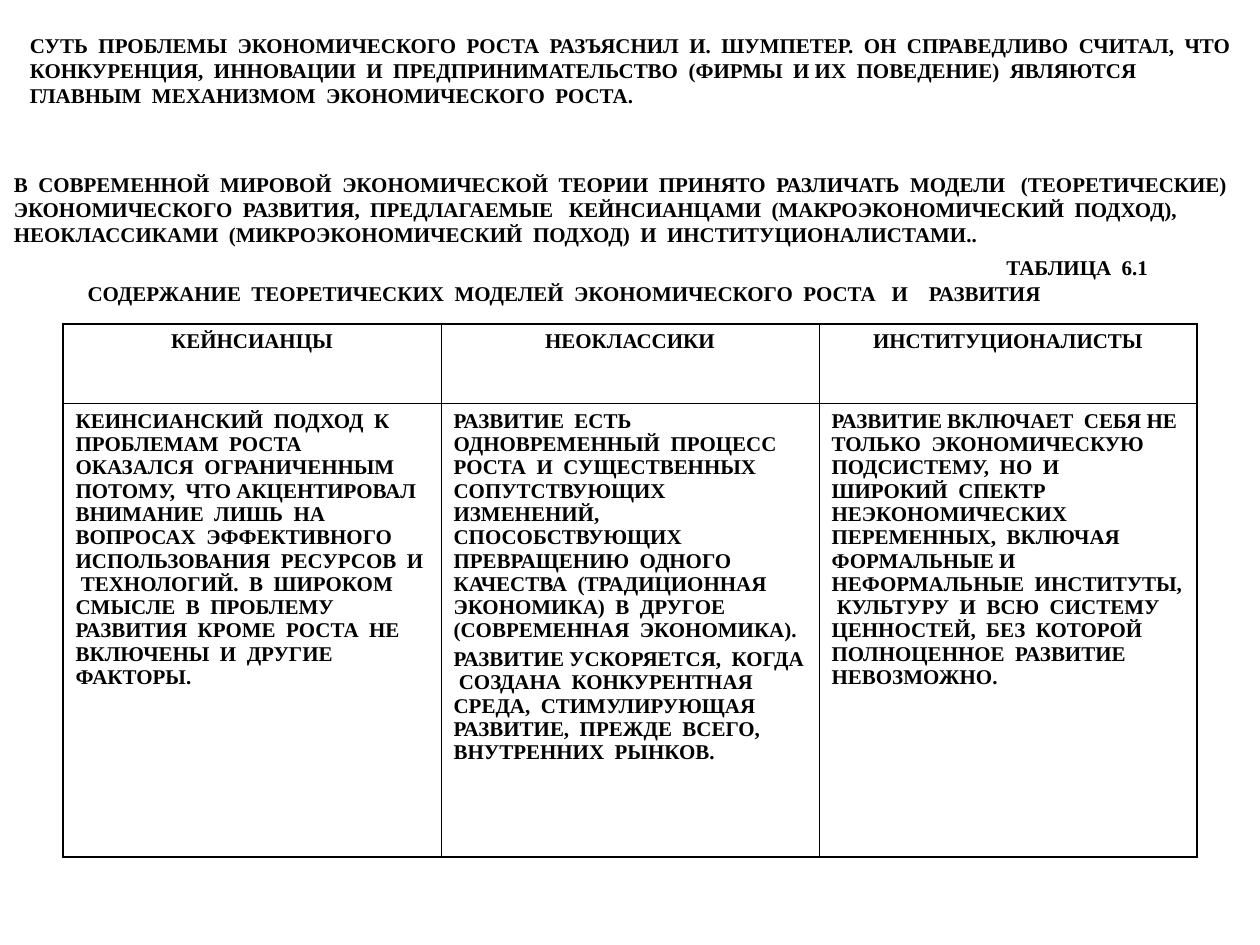
from lxml import etree
from pptx import Presentation
from pptx.dml.color import RGBColor
from pptx.enum.text import MSO_AUTO_SIZE, PP_ALIGN
from pptx.oxml.ns import qn
from pptx.util import Pt

LEFT, CENTER = PP_ALIGN.LEFT, PP_ALIGN.CENTER
NO_AUTOFIT = MSO_AUTO_SIZE.NONE
COLORS = {"ink": "000000"}
FONT = {"name": "Times New Roman", "size": Pt(12), "bold": True}
BOX_LINE = Pt(14.3)
OUTER, INNER = 1.08, 0.45

# Text boxes: left, top, width, height in points, then lines
TEXTS = [
    ((10, 15, 709, 79), [
        "СУТЬ  ПРОБЛЕМЫ  ЭКОНОМИЧЕСКОГО  РОСТА  РАЗЪЯСНИЛ  И.  ШУМПЕТЕР.  ОН  СПРАВЕДЛИВО  СЧИТАЛ,  ЧТО",
        "КОНКУРЕНЦИЯ,  ИННОВАЦИИ  И  ПРЕДПРИНИМАТЕЛЬСТВО  (ФИРМЫ  И ИХ  ПОВЕДЕНИЕ)  ЯВЛЯЮТСЯ",
        "ГЛАВНЫМ  МЕХАНИЗМОМ  ЭКОНОМИЧЕСКОГО  РОСТА.",
    ]),
    ((0.8, 94.5, 713, 50.4), [
        "В  СОВРЕМЕННОЙ  МИРОВОЙ  ЭКОНОМИЧЕСКОЙ  ТЕОРИИ  ПРИНЯТО  РАЗЛИЧАТЬ  МОДЕЛИ   (ТЕОРЕТИЧЕСКИЕ)",
        "ЭКОНОМИЧЕСКОГО  РАЗВИТИЯ,  ПРЕДЛАГАЕМЫЕ   КЕЙНСИАНЦАМИ  (МАКРОЭКОНОМИЧЕСКИЙ  ПОДХОД),",
        "НЕОКЛАССИКАМИ  (МИКРОЭКОНОМИЧЕСКИЙ  ПОДХОД)  И  ИНСТИТУЦИОНАЛИСТАМИ..",
    ]),
    ((568, 142, 96.5, 21.6), ["ТАБЛИЦА  6.1"]),
    ((43, 157, 564.5, 21.6), [
        "СОДЕРЖАНИЕ  ТЕОРЕТИЧЕСКИХ  МОДЕЛЕЙ  ЭКОНОМИЧЕСКОГО  РОСТА   И    РАЗВИТИЯ",
    ]),
]

# Table: each cell is a list of paragraphs
TABLE_AREA = (36, 185, 648, 304.6)
ROW_HEIGHTS = (45.4, 259.2)
ROWS = [
    [["КЕЙНСИАНЦЫ"], ["НЕОКЛАССИКИ"], ["ИНСТИТУЦИОНАЛИСТЫ"]],
    [
        ["КЕИНСИАНСКИЙ  ПОДХОД  К  ПРОБЛЕМАМ  РОСТА  ОКАЗАЛСЯ  ОГРАНИЧЕННЫМ ПОТОМУ,  "
         "ЧТО АКЦЕНТИРОВАЛ  ВНИМАНИЕ  ЛИШЬ  НА  ВОПРОСАХ  ЭФФЕКТИВНОГО  ИСПОЛЬЗОВАНИЯ  "
         "РЕСУРСОВ  И  ТЕХНОЛОГИЙ.  В  ШИРОКОМ  СМЫСЛЕ  В  ПРОБЛЕМУ  РАЗВИТИЯ  КРОМЕ  "
         "РОСТА  НЕ  ВКЛЮЧЕНЫ  И  ДРУГИЕ  ФАКТОРЫ."],
        ["РАЗВИТИЕ  ЕСТЬ  ОДНОВРЕМЕННЫЙ  ПРОЦЕСС  РОСТА  И  СУЩЕСТВЕННЫХ  "
         "СОПУТСТВУЮЩИХ  ИЗМЕНЕНИЙ,  СПОСОБСТВУЮЩИХ  ПРЕВРАЩЕНИЮ  ОДНОГО  КАЧЕСТВА  "
         "(ТРАДИЦИОННАЯ  ЭКОНОМИКА)  В  ДРУГОЕ  (СОВРЕМЕННАЯ  ЭКОНОМИКА).",
         "РАЗВИТИЕ УСКОРЯЕТСЯ,  КОГДА  СОЗДАНА  КОНКУРЕНТНАЯ  СРЕДА,  СТИМУЛИРУЮЩАЯ  "
         "РАЗВИТИЕ,  ПРЕЖДЕ  ВСЕГО,  ВНУТРЕННИХ  РЫНКОВ."],
        ["РАЗВИТИЕ ВКЛЮЧАЕТ  СЕБЯ НЕ  ТОЛЬКО  ЭКОНОМИЧЕСКУЮ  ПОДСИСТЕМУ,  НО  И  "
         "ШИРОКИЙ  СПЕКТР  НЕЭКОНОМИЧЕСКИХ  ПЕРЕМЕННЫХ,  ВКЛЮЧАЯ  ФОРМАЛЬНЫЕ И "
         "НЕФОРМАЛЬНЫЕ  ИНСТИТУТЫ,  КУЛЬТУРУ  И  ВСЮ  СИСТЕМУ  ЦЕННОСТЕЙ,  БЕЗ  КОТОРОЙ  "
         "ПОЛНОЦЕННОЕ  РАЗВИТИЕ НЕВОЗМОЖНО."],
    ],
]


def set_values(target, values):
    for name, value in values.items():
        setattr(target, name, value)


def write_lines(frame, lines, para_format):
    for index, line in enumerate(lines):
        para = frame.paragraphs[0] if index == 0 else frame.add_paragraph()
        set_values(para, para_format)
        span = para.add_run()
        span.text = line
        set_values(span.font, FONT)
        span.font.color.rgb = RGBColor.from_string(COLORS["ink"])


def add_text(page, area, lines):
    box = page.shapes.add_textbox(*map(Pt, area))
    set_values(box.text_frame, {"word_wrap": False, "auto_size": NO_AUTOFIT})
    write_lines(box.text_frame, lines, {"alignment": LEFT, "line_spacing": BOX_LINE})


def set_borders(cell, widths):
    """Draw the cell's sides; the line elements must precede its fill."""
    properties = cell._tc.get_or_add_tcPr()
    for index, (side, width) in enumerate(widths.items()):
        line = etree.Element(qn(f"a:ln{side}"), w=str(Pt(width)))
        fill = etree.SubElement(line, qn("a:solidFill"))
        etree.SubElement(fill, qn("a:srgbClr"), val=COLORS["ink"])
        properties.insert(index, line)


def add_table(page, area, rows, heights):
    last_row, last_column = len(rows) - 1, len(rows[0]) - 1
    frame = page.shapes.add_table(last_row + 1, last_column + 1, *map(Pt, area))
    table = frame.table
    set_values(table, {"first_row": False, "horz_banding": False})
    for r, (row, height) in enumerate(zip(rows, heights)):
        table.rows[r].height = Pt(height)
        for c, lines in enumerate(row):
            cell = table.cell(r, c)
            cell.fill.background()
            alignment = CENTER if r == 0 else LEFT
            write_lines(cell.text_frame, lines,
                        {"alignment": alignment, "space_before": Pt(3)})
            on_edge = {"L": c == 0, "R": c == last_column,
                       "T": r == 0, "B": r == last_row}
            set_borders(cell, {side: OUTER if edge else INNER
                               for side, edge in on_edge.items()})


def main():
    deck = Presentation()
    set_values(deck, {"slide_width": Pt(720), "slide_height": Pt(540)})
    page = deck.slides.add_slide(deck.slide_layouts[6])
    # Introduction and table caption
    for area, lines in TEXTS:
        add_text(page, area, lines)
    # Comparison of the three schools
    add_table(page, TABLE_AREA, ROWS, ROW_HEIGHTS)
    deck.save("out.pptx")


if __name__ == "__main__":
    main()
